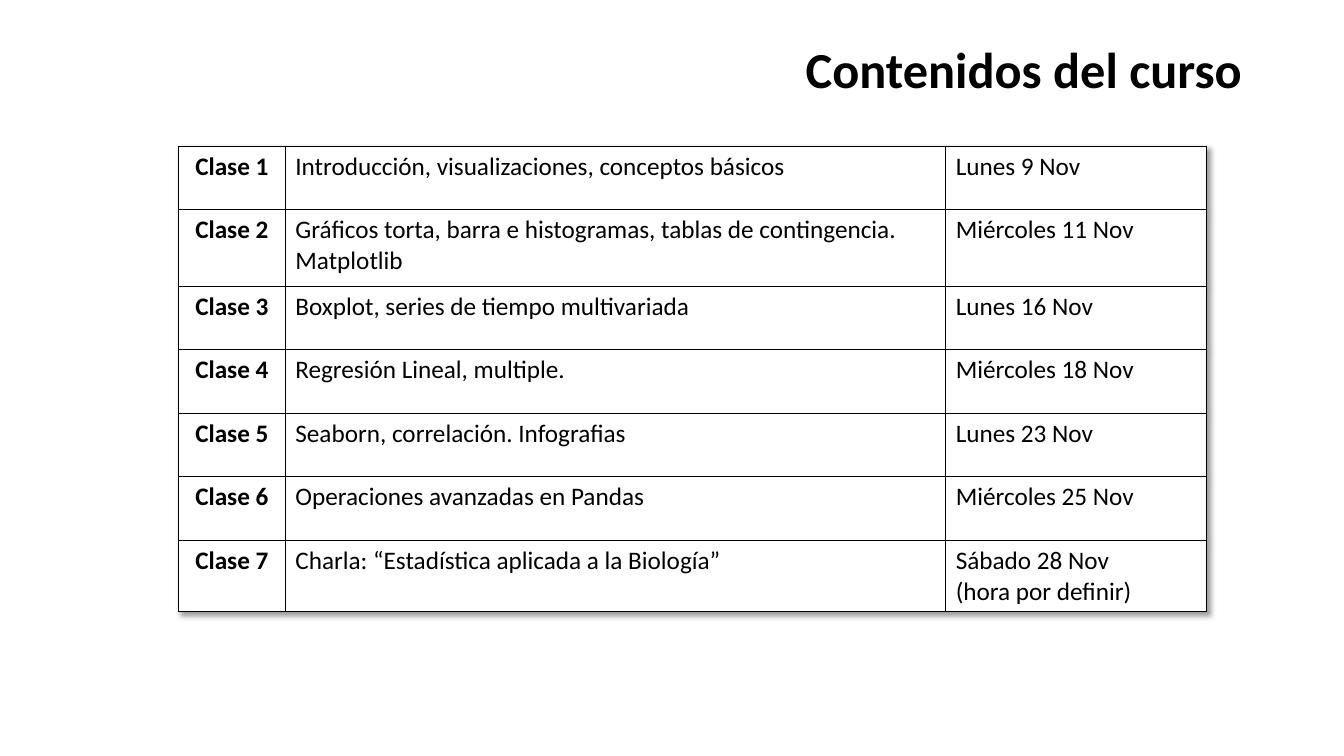
from dataclasses import dataclass

from pptx import Presentation
from pptx.dml.color import RGBColor
from pptx.enum import text
from pptx.oxml import parse_xml
from pptx.oxml.ns import nsdecls
from pptx.table import Table, _Cell
from pptx.text.text import TextFrame
from pptx.util import Emu, Pt

EMU_PER_PX = 9144  # 100 px to the inch
FONT = "Calibri"
BLACK = "000000"
WHITE = "FFFFFF"


@dataclass
class Lesson:
    name: str
    topic: str
    date: str
    height: int = 63


LESSONS = [
    Lesson("Clase 1", "Introducción, visualizaciones, conceptos básicos", "Lunes 9 Nov"),
    Lesson("Clase 2", "Gráficos torta, barra e histogramas, tablas de contingencia. Matplotlib",
           "Miércoles 11 Nov", 76),
    Lesson("Clase 3", "Boxplot, series de tiempo multivariada", "Lunes 16 Nov"),
    Lesson("Clase 4", "Regresión Lineal, multiple.", "Miércoles 18 Nov"),
    Lesson("Clase 5", "Seaborn, correlación. Infografias", "Lunes 23 Nov"),
    Lesson("Clase 6", "Operaciones avanzadas en Pandas", "Miércoles 25 Nov"),
    Lesson("Clase 7", "Charla: “Estadística aplicada a la Biología”",
           "Sábado 28 Nov\v(hora por definir)"),
]
COLUMN_WIDTHS = [106, 655, 259]


def px(length: int) -> Emu:
    return Emu(length * EMU_PER_PX)


def color(value: str) -> RGBColor:
    return RGBColor.from_string(value)


def write(frame: TextFrame, content: str, size: int, bold: bool,
          alignment: text.PP_ALIGN) -> None:
    frame.text = content
    paragraph = frame.paragraphs[0]
    paragraph.alignment = alignment
    for run in paragraph.runs:
        run.font.name = FONT
        run.font.size = Pt(size)
        run.font.bold = bold
        run.font.color.rgb = color(BLACK)


def add_borders(cell: _Cell) -> None:
    properties = cell._tc.get_or_add_tcPr()
    for index, side in enumerate("LRTB"):
        properties.insert(index, parse_xml(
            f'<a:ln{side} {nsdecls("a")} w="{Pt(1)}"><a:solidFill>'
            f'<a:srgbClr val="{BLACK}"/></a:solidFill></a:ln{side}>'))


def add_shadow(table: Table) -> None:
    table._tbl.tblPr.insert(0, parse_xml(
        f'<a:effectLst {nsdecls("a")}><a:outerShdw blurRad="50800" dist="38100" '
        f'dir="2700000" algn="tl" rotWithShape="0"><a:srgbClr val="{BLACK}">'
        '<a:alpha val="40000"/></a:srgbClr></a:outerShdw></a:effectLst>'))


def fill_row(table: Table, row: int, lesson: Lesson) -> None:
    table.rows[row].height = px(lesson.height)
    for column, content in enumerate((lesson.name, lesson.topic, lesson.date)):
        cell = table.cell(row, column)
        is_name = column == 0
        alignment = text.PP_ALIGN.CENTER if is_name else text.PP_ALIGN.LEFT
        write(cell.text_frame, content, 18, is_name, alignment)
        cell.fill.solid()
        cell.fill.fore_color.rgb = color(WHITE)
        add_borders(cell)


def main() -> None:
    presentation = Presentation()
    presentation.slide_width, presentation.slide_height = px(1333), px(750)
    slide = presentation.slides.add_slide(presentation.slide_layouts[5])

    # Title
    title = slide.shapes.title
    title.left, title.top, title.width, title.height = px(92), px(38), px(1150), px(68)
    write(title.text_frame, "Contenidos del curso", 36, True, text.PP_ALIGN.RIGHT)
    title.text_frame.paragraphs[0].line_spacing = 0.9
    title.text_frame.vertical_anchor = text.MSO_ANCHOR.MIDDLE

    # Course schedule
    table = slide.shapes.add_table(
        len(LESSONS), len(COLUMN_WIDTHS), px(177), px(145), px(sum(COLUMN_WIDTHS)),
        px(sum(lesson.height for lesson in LESSONS))).table
    table.first_row = table.horz_banding = False
    add_shadow(table)
    for column, width in zip(table.columns, COLUMN_WIDTHS):
        column.width = px(width)
    for row, lesson in enumerate(LESSONS):
        fill_row(table, row, lesson)

    presentation.save("out.pptx")


if __name__ == "__main__":
    main()
